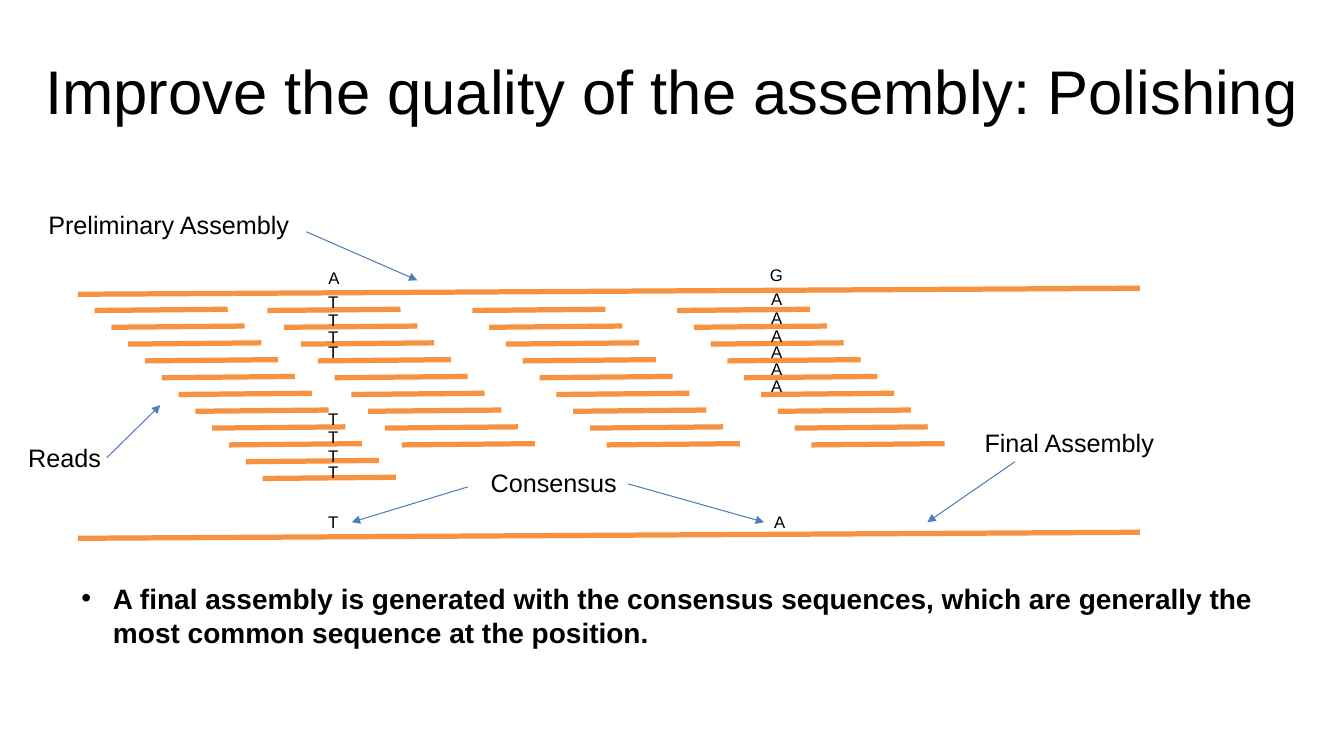
"""Build the slide that explains polishing of a genome assembly."""
from lxml import etree
from pptx import Presentation
from pptx import util as u
from pptx.dml.color import RGBColor
from pptx.enum import shapes, text
from pptx.oxml import ns

BLACK = RGBColor(0x00, 0x00, 0x00)
ORANGE = RGBColor(0xF6, 0x92, 0x40)
BLUE = RGBColor(0x4B, 0x7E, 0xBC)

STEP = 12
READ_LENGTH = 95.1
FIRST_READ_TOP = 221.8
READ_GROUPS = [(67.6, 11), (191, 9), (337.4, 9), (483.6, 9)]
ASSEMBLY_TOPS = [210.2, 384.5]
LABELS = [
    ("Preliminary Assembly", 27.4, 146.2, 187.9),
    ("Reads", 13, 312.5, 67),
    ("Final Assembly", 696.2, 301.7, 136.8),
    ("Consensus", 343.4, 330.5, 105.1),
]
BASES = [
    ("A", 227.5, [187.9]),
    ("T", 227.3, [205.2, 217.4, 229.7, 240.5, 288.3, 301, 314.6, 326.2, 362.2]),
    ("G", 542.9, [185.8]),
    ("A", 543.7, [203, 216, 229, 240.5, 252.7, 265]),
    ("A", 545.8, [362.2]),
]
ARROWS = [
    (218.9, 165.6, 298.1, 200.2),
    (76.3, 326.9, 114.5, 289.4),
    (725, 329.8, 662.4, 373),
    (448.6, 345.6, 545.8, 373),
    (334.1, 347.8, 251.3, 373),
]


class Painter:
    """Hold the current slide and its text style."""

    def __init__(self, s, font="Arial", color=BLACK):
        self.s, self.font, self.color = s, font, color

    def line(self, x1, y1, x2, y2, color=ORANGE, width=3.75, arrow=False):
        """Draw a straight line, with an arrowhead at its end if asked."""
        ends = [u.Pt(v) for v in (x1, y1, x2, y2)]
        sp = self.s.shapes.add_connector(shapes.MSO_CONNECTOR.STRAIGHT, *ends)
        sp.line.color.rgb = color
        sp.line.width = u.Pt(width)
        if arrow:
            etree.SubElement(sp.line._get_or_add_ln(), ns.qn("a:tailEnd"), type="triangle")
        etree.SubElement(sp._element.spPr, ns.qn("a:effectLst"))

    def text(self, words, x, y, w, h, size, bold=False, bullet=False, frame=None, para=None):
        """Add a text box with one paragraph."""
        sp = self.s.shapes.add_textbox(*[u.Pt(v) for v in (x, y, w, h)])
        tf = sp.text_frame
        for name, value in {"word_wrap": True, **(frame or {})}.items():
            setattr(tf, name, value)
        p = tf.paragraphs[0]
        for name, value in (para or {}).items():
            setattr(p, name, value)
        if bullet:
            pPr = p._p.get_or_add_pPr()
            pPr.set("marL", str(u.Pt(22.5)))
            pPr.set("indent", str(u.Pt(-22.5)))
            etree.SubElement(pPr, ns.qn("a:buFont"), typeface=self.font)
            etree.SubElement(pPr, ns.qn("a:buChar"), char="•")
        r = p.add_run()
        r.text = words
        for name, value in {"name": self.font, "size": u.Pt(size), "bold": bold}.items():
            setattr(r.font, name, value)
        r.font.color.rgb = self.color


def main():
    """Build and save the slide."""
    prs = Presentation()
    prs.slide_width, prs.slide_height = u.Pt(960), u.Pt(540)
    painter = Painter(prs.slides.add_slide(prs.slide_layouts[6]))

    margins = dict.fromkeys(("margin_left", "margin_top", "margin_right", "margin_bottom"), 0)
    painter.text("Improve the quality of the assembly: Polishing", 32.4, 22.3, 902.9, 90, 44,
                 frame={"vertical_anchor": text.MSO_ANCHOR.MIDDLE, **margins},
                 para={"line_spacing": 0.9})
    painter.text("A final assembly is generated with the consensus sequences, which are "
                 "generally the most common sequence at the position.",
                 51.1, 411.8, 865.4, 55.4, 20, bold=True, bullet=True)

    for top in ASSEMBLY_TOPS:
        painter.line(55.7, top, 814.3, top - 4.3)
    for left, count in READ_GROUPS:
        for i in range(count):
            x, y = left + i * STEP, FIRST_READ_TOP + i * STEP
            painter.line(x, y, x + READ_LENGTH, y - 0.9)

    for base, x, tops in BASES:
        for top in tops:
            painter.text(base, x, top, 23.8, 21.6, 12)
    for label, x, y, w in LABELS:
        painter.text(label, x, y, w, 28.8, 18, frame={"word_wrap": False})
    for ends in ARROWS:
        painter.line(*ends, color=BLUE, width=0.75, arrow=True)

    prs.save("out.pptx")


if __name__ == "__main__":
    main()
